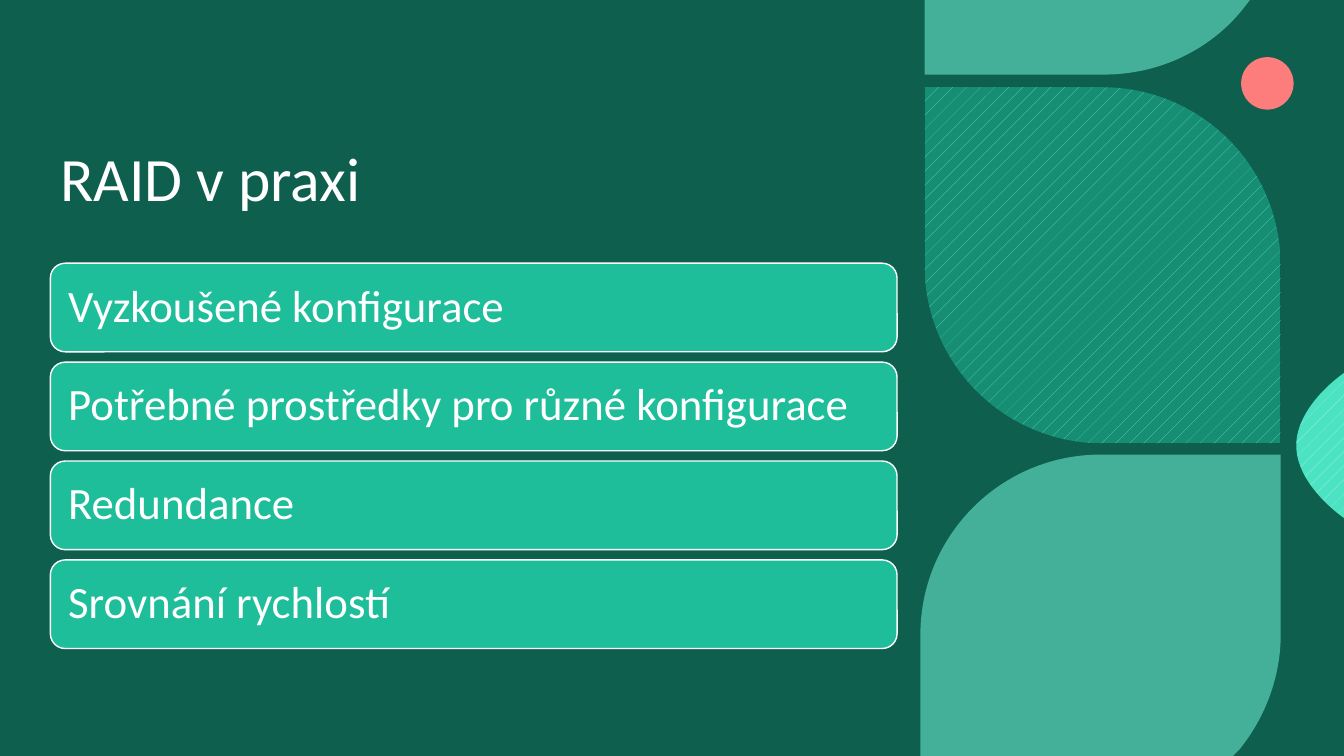
import pptx
import pptx.util
import pptx.dml.color
import pptx.enum.dml
import pptx.enum.shapes
import pptx.enum.text
import pptx.oxml.ns
from lxml import etree

Pt = pptx.util.Pt
qn = pptx.oxml.ns.qn
KIND = pptx.enum.shapes.MSO_SHAPE
ANCHOR = pptx.enum.text.MSO_ANCHOR


def paint(part, color, alpha=100, dots=None):
    """Fill a shape or background; dots is the foreground of a pattern."""
    rgb = pptx.dml.color.RGBColor.from_string
    fill = part.fill
    if dots:
        fill.patterned()
        fill.pattern = pptx.enum.dml.MSO_PATTERN.PERCENT_5
        fill.fore_color.rgb = rgb(dots)
        fill.back_color.rgb = rgb(color)
    else:
        fill.solid()
        fill.fore_color.rgb = rgb(color)
    if alpha < 100:
        node = part._element.spPr.find(".//" + qn("a:srgbClr"))
        etree.SubElement(node, qn("a:alpha"), val=str(alpha * 1000))


def write(shape, words, size, anchor):
    frame = shape.text_frame
    frame.word_wrap = True
    frame.vertical_anchor = anchor
    para = frame.paragraphs[0]
    para.alignment = pptx.enum.text.PP_ALIGN.LEFT
    para.line_spacing = 0.9
    run = para.add_run()
    run.text = words
    run.font.size = Pt(size)
    run.font.name = "Calibri"
    paint(run.font, "FFFFFF")


deck = pptx.Presentation()
deck.slide_width, deck.slide_height = Pt(960), Pt(540)
slide = deck.slides.add_slide(deck.slide_layouts[6])
shapes = slide.shapes
paint(slide.background, "09392F")

# Tint, dot and whole petal: kind, left, top, width, height, fill
plain = [
    (KIND.RECTANGLE, 0, 0, 960, 540, ("18997E", 40)),
    (KIND.OVAL, 886.5, 40.8, 37.5, 37.5, ("FD7C7C",)),
    (KIND.ROUND_2_DIAG_RECTANGLE, 660.4, 62.3, 254.4, 254.4, ("178E74", 100, "4BE3C2")),
]
for kind, left, top, width, height, look in plain:
    shape = shapes.add_shape(kind, Pt(left), Pt(top), Pt(width), Pt(height))
    shape.shadow.inherit = False
    shape.line.fill.background()
    paint(shape, *look)
    if kind == KIND.ROUND_2_DIAG_RECTANGLE:
        shape.adjustments[0], shape.adjustments[1] = 0, 0.5

# Petals cut by the slide edge: two numbers are a line, six a Bezier curve
petals = [
    ([(660.4, 0), (892.8, 0), (887.8, 6.5),
      (864.7, 35.3, 828.7, 53.3, 788.4, 53.3), (660.4, 53.3)], ("69E7CC", 60)),
    ([(786.2, 324.7), (914.8, 324.7), (914.8, 452.9),
      (914.8, 483.8, 903.6, 512.6, 885.6, 535), (880.6, 540), (657.4, 540),
      (657.4, 453.6), (657.4, 382.3, 715, 324.7, 786.2, 324.7)], ("69E7CC", 60)),
    ([(960, 266.4), (960, 370), (960, 370, 925.9, 347, 925.9, 318.2),
      (925.9, 289.4, 960, 266.4, 960, 266.4)], ("4BE3C2", 100, "C3F6EB")),
]
for steps, look in petals:
    ends = [(Pt(step[-2]), Pt(step[-1])) for step in steps]
    pen = shapes.build_freeform(*ends[0])
    pen.add_line_segments(ends[1:], close=True)
    petal = pen.convert_to_shape()
    petal.shadow.inherit = False
    petal.line.fill.background()
    paint(petal, *look)
    # Bend the segments that have control points
    lines = list(petal._element.iter(qn("a:lnTo")))
    for line, step in zip(lines, steps[1:]):
        if len(step) == 6:
            line.tag = qn("a:cubicBezTo")
            for k in (0, 2):
                spot = etree.Element(qn("a:pt"), x=str(Pt(step[k]) - petal.left),
                                     y=str(Pt(step[k + 1]) - petal.top))
                line.insert(k // 2, spot)

title = shapes.add_textbox(Pt(36), Pt(52.6), Pt(604.8), Pt(104.4))
write(title, "RAID v praxi", 44, ANCHOR.BOTTOM)

topics = [
    "Vyzkoušené konfigurace",
    "Potřebné prostředky pro různé konfigurace",
    "Redundance",
    "Srovnání rychlostí",
]
for i, topic in enumerate(topics):
    card = shapes.add_shape(KIND.ROUNDED_RECTANGLE, Pt(36), Pt(188 + 70.65 * i),
                            Pt(604.8), Pt(63.3))
    card.shadow.inherit = False
    paint(card, "1EBE9B")
    paint(card.line, "FFFFFF")
    card.line.width = Pt(1)
    frame = card.text_frame
    frame.margin_left = frame.margin_right = Pt(9.6)
    write(card, topic, 32, ANCHOR.MIDDLE)

deck.save("out.pptx")
